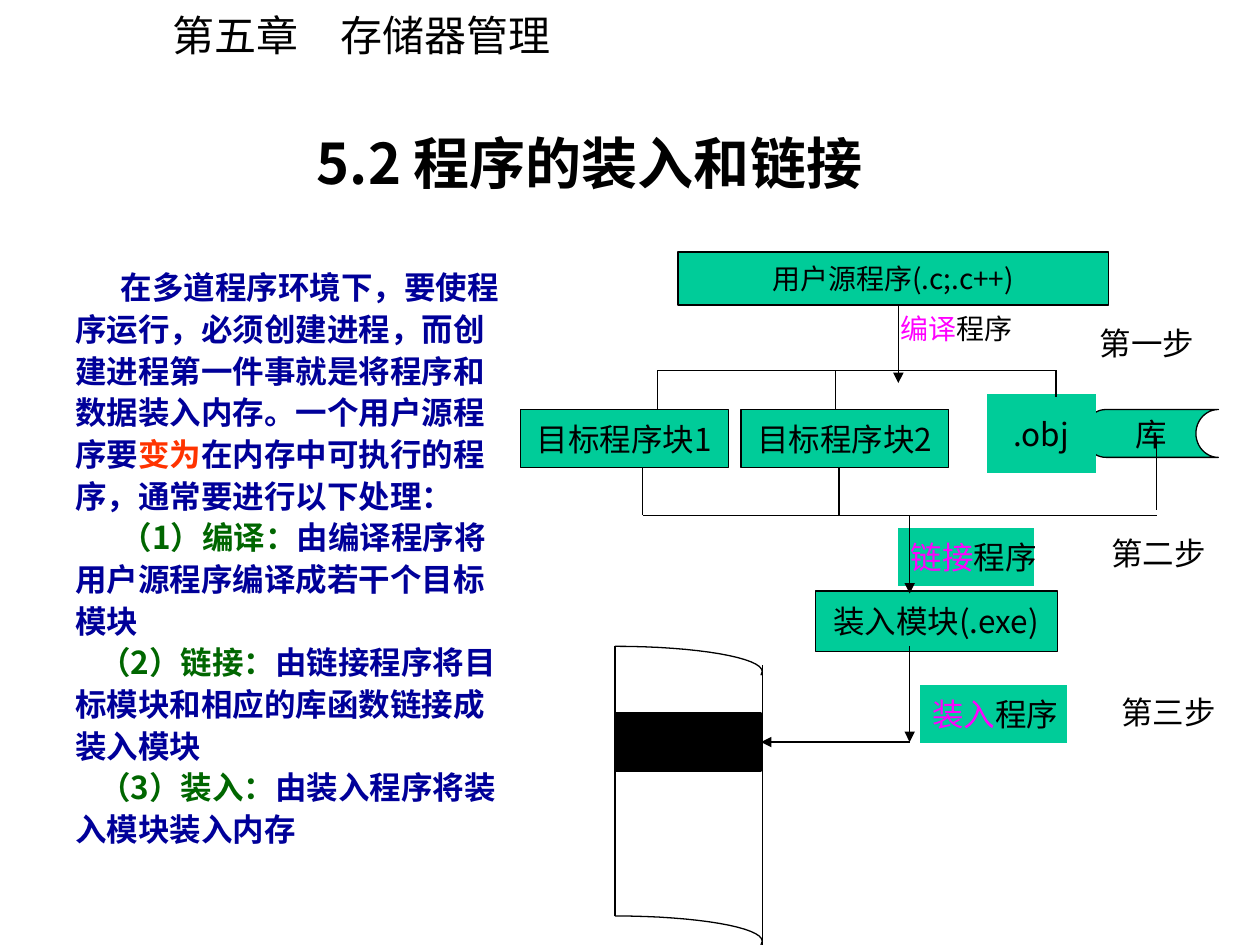
from lxml.etree import SubElement
from pptx import Presentation
from pptx.dml.color import RGBColor as RGB
from pptx.enum.shapes import MSO_CONNECTOR as Link, MSO_SHAPE as Kind
from pptx.enum.text import MSO_ANCHOR as Anchor, PP_ALIGN as Align
from pptx.oxml.ns import qn
from pptx.util import Inches, Pt

THEME = dict(
    font="Noto Sans CJK SC", ink="000000", fill="00CC99", body="000099",
    alert="FF3300", term="006600", mark="FF00FF",
    head=24, title=32, text=18, small=16, pitch=23.8, line=0.75,
)
COLS, ROWS = 100, 75  # grid of square cells over the slide
WIDE, HIGH = Inches(10), Inches(7.5)

# Text: each run is (words, colour name)
HEAD = ("第五章　存储器管理", (12.7, 0.3, 32.7, 5))
TITLE = ("5.2 程序的装入和链接", (9.8, 9.1, 74, 7.5))
BODY_AT = (5, 20, 35.8, 47.6)
BODY = [  # first-line indent in cells, runs
    (3.6, [("在多道程序环境下，要使程序运行，必须创建进程，而创建进程第一件事就是"
            "将程序和数据装入内存。一个用户源程序要", "body"), ("变为", "alert"),
           ("在内存中可执行的程序，通常要进行以下处理：", "body")]),
    (3.6, [("（1）编译：", "term"),
           ("由编译程序将用户源程序编译成若干个目标模块", "body")]),
    (1.9, [("（2）链接：", "term"),
           ("由链接程序将目标模块和相应的库函数链接成装入模块", "body")]),
    (1.9, [("（3）装入：", "term"), ("由装入程序将装入模块装入内存", "body")]),
]
STEPS = [("第一步", 86.3, 25.2), ("第二步", 87.2, 41.9), ("第三步", 88, 54.5)]

# Flow chart: words, place, preset, size name, outlined
PROC = Kind.FLOWCHART_PROCESS
BOXES = [
    ("用户源程序(.c;.c++)", (53.8, 20, 34.2, 4.2), Kind.RECTANGLE, "small", True),
    ("库", (86, 32.5, 10.7, 3.8), Kind.FLOWCHART_STORED_DATA, "text", True),
    ("目标程序块1", (41.3, 32.5, 16.5, 4.6), PROC, "text", True),
    ("目标程序块2", (58.8, 32.5, 16.5, 4.6), PROC, "text", True),
    (".obj", (78.3, 31.3, 8.7, 6.2), PROC, "text", False),
    ("装入模块(.exe)", (64.7, 46.9, 19.2, 4.8), PROC, "text", True),
]
TOOLS = [("链接", (71.3, 41.9, 10.8, 4.6)), ("装入", (73, 54.4, 11.7, 4.6))]
COMPILE_AT = (70.5, 24.2, 14.2, 3.7)

# Lines: x1, y1, x2, y2
SPLIT, JOIN, LOAD = 29.4, 40.9, 58.9
MEM_L, MEM_R, MEM_TOP, MEM_END = 48.8, 60.5, 51.3, 72.7
LINES = [
    (52.2, SPLIT, 83.8, SPLIT), (52.2, SPLIT, 52.2, 32.5),
    (66.3, SPLIT, 66.3, 32.5), (83.8, SPLIT, 83.8, 31.5),
    (51, 37.1, 51, JOIN), (66.6, 37.1, 66.6, JOIN),
    (91.8, 34.6, 91.8, 40.5), (51, JOIN, 91.8, JOIN),
    (MEM_L, MEM_TOP, MEM_L, MEM_END), (MEM_R, 52.8, MEM_R, ROWS),
]
ARROWS = [(71.3, 24.2, 71.3, 30.4), (72.2, JOIN, 72.2, 47.1),
          (72.2, 51.3, 72.2, LOAD)]
BEND = [(0, 0), (6.5, 0), (11.7, 0.9), (11.7, 2)]  # memory edge curve

deck = Presentation()
deck.slide_width, deck.slide_height = WIDE, HIGH
slide = deck.slides.add_slide(deck.slide_layouts[6])
shapes = slide.shapes


def gx(n):
    return round(WIDE * n / COLS)


def gy(n):
    return round(HIGH * n / ROWS)


def place(at):
    x, y, w, h = at
    return gx(x), gy(y), gx(w), gy(h)


def tint(name):
    return RGB.from_string(THEME[name])


def write(para, runs, size="text", bold=False, align=Align.LEFT):
    para.alignment = align
    font = para.font
    font.size, font.bold, font.name = Pt(THEME[size]), bold, THEME["font"]
    SubElement(para._p.pPr.find(qn("a:defRPr")), qn("a:ea"),
               typeface=THEME["font"])
    for words, color in runs:
        run = para.add_run()
        run.text = words
        run.font.color.rgb = tint(color)


def label(at, runs, size="text", wrap=True, **look):
    frame = shapes.add_textbox(*place(at)).text_frame
    frame.word_wrap = wrap
    write(frame.paragraphs[0], runs, size, **look)
    return frame


def edge(shape):
    shape.line.color.rgb = tint("ink")
    shape.line.width = Pt(THEME["line"])


def box(at, kind=PROC, fill="fill", lined=True):
    shape = shapes.add_shape(kind, *place(at))
    shape.shadow.inherit = False
    shape.fill.solid()
    shape.fill.fore_color.rgb = tint(fill)
    if lined:
        edge(shape)
    else:
        shape.line.fill.background()
    frame = shape.text_frame
    frame.word_wrap, frame.vertical_anchor = False, Anchor.MIDDLE
    return shape


def line(x1, y1, x2, y2, arrow=False):
    link = shapes.add_connector(Link.STRAIGHT, gx(x1), gy(y1), gx(x2), gy(y2))
    edge(link)
    if arrow:
        SubElement(link.line._get_or_add_ln(), qn("a:tailEnd"), type="triangle")
    SubElement(link._element.spPr, qn("a:effectLst"))
    return link


def curve(left, top, steps=16):
    dots = []
    for i in range(steps + 1):
        t = i / steps
        parts = ((1 - t) ** 3, 3 * t * (1 - t) ** 2, 3 * t * t * (1 - t), t ** 3)
        x, y = (sum(k * p[axis] for k, p in zip(parts, BEND)) for axis in (0, 1))
        dots.append((gx(left + x), gy(top + y)))
    dots.append((gx(left + 11.6), gy(top + 2.3)))
    pen = shapes.build_freeform(*dots[0])
    pen.add_line_segments(dots[1:], close=False)
    shape = pen.convert_to_shape()
    shape.shadow.inherit = False
    shape.fill.background()
    edge(shape)


# Chapter head and title
label(HEAD[1], [(HEAD[0], "ink")], "head", wrap=False)
title = label(TITLE[1], [(TITLE[0], "ink")], "title", bold=True,
              align=Align.CENTER)
title.vertical_anchor = Anchor.MIDDLE

# Body text
frame = shapes.add_textbox(*place(BODY_AT)).text_frame
frame.word_wrap, frame.margin_top = True, gy(1)
for i, (indent, runs) in enumerate(BODY):
    para = frame.add_paragraph() if i else frame.paragraphs[0]
    para.line_spacing = Pt(THEME["pitch"])
    write(para, runs, bold=True)
    para._p.pPr.set("indent", str(gx(indent)))

# Flow chart boxes
for words, at, kind, size, lined in BOXES:
    shape = box(at, kind, lined=lined)
    write(shape.text_frame.paragraphs[0], [(words, "ink")], size,
          align=Align.CENTER)
for word, at in TOOLS:
    shape = box(at, lined=False)
    write(shape.text_frame.paragraphs[0], [(word, "mark"), ("程序", "ink")])

# Memory block with curved ends
block = box((MEM_L, 56.6, 11.6, 4.6), Kind.RECTANGLE, "ink")
for top in (MEM_TOP, MEM_END):
    curve(MEM_L, top)

# Lines and arrows
for ends in LINES:
    line(*ends)
for ends in ARROWS:
    line(*ends, arrow=True)
line(72.2, LOAD, MEM_R, LOAD, arrow=True).end_connect(block, 3)

# Labels beside the chart
label(COMPILE_AT, [("编译", "mark"), ("程序", "ink")], "small")
for words, x, y in STEPS:
    label((x, y, 14.3, 4), [(words, "ink")])

deck.save("out.pptx")
